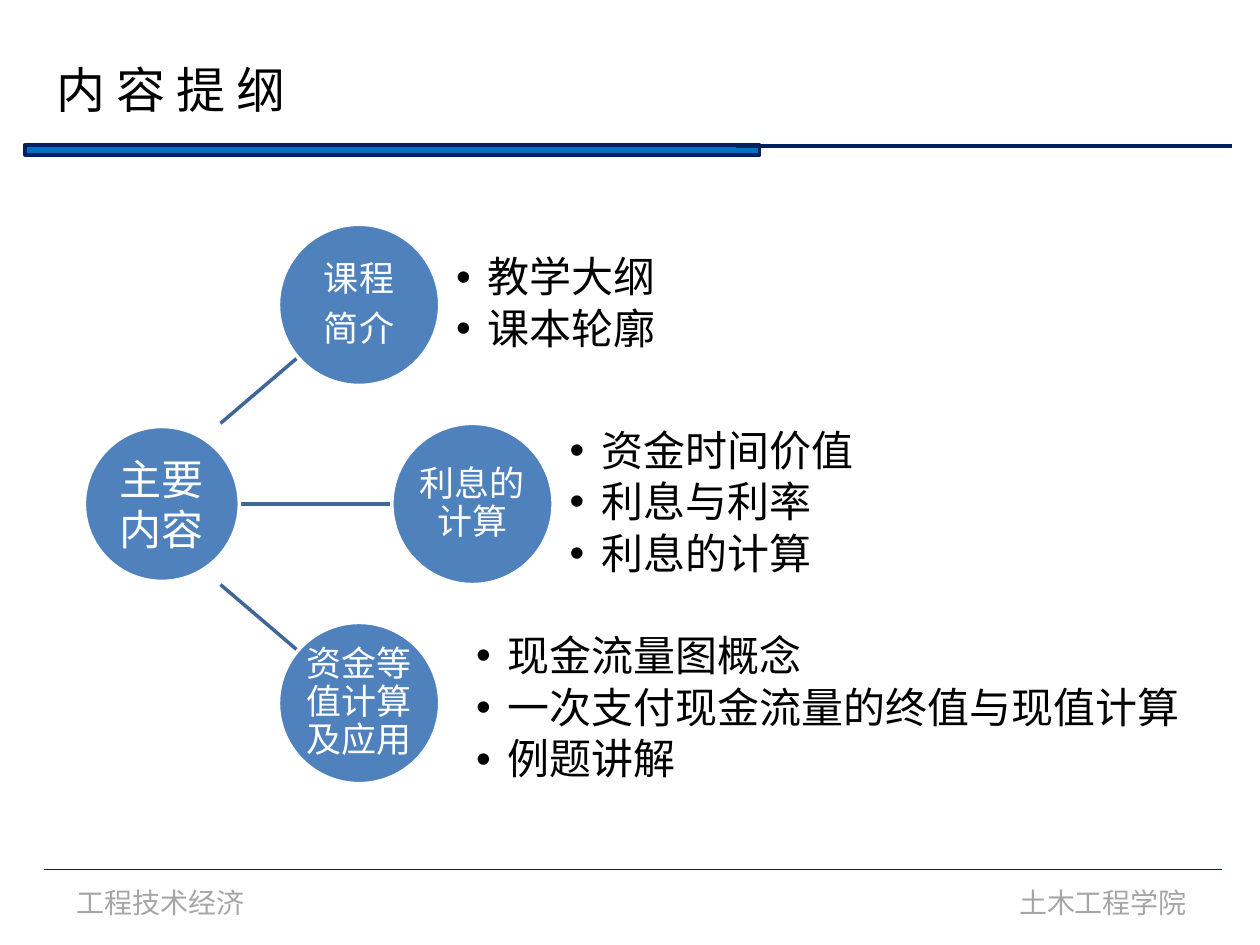
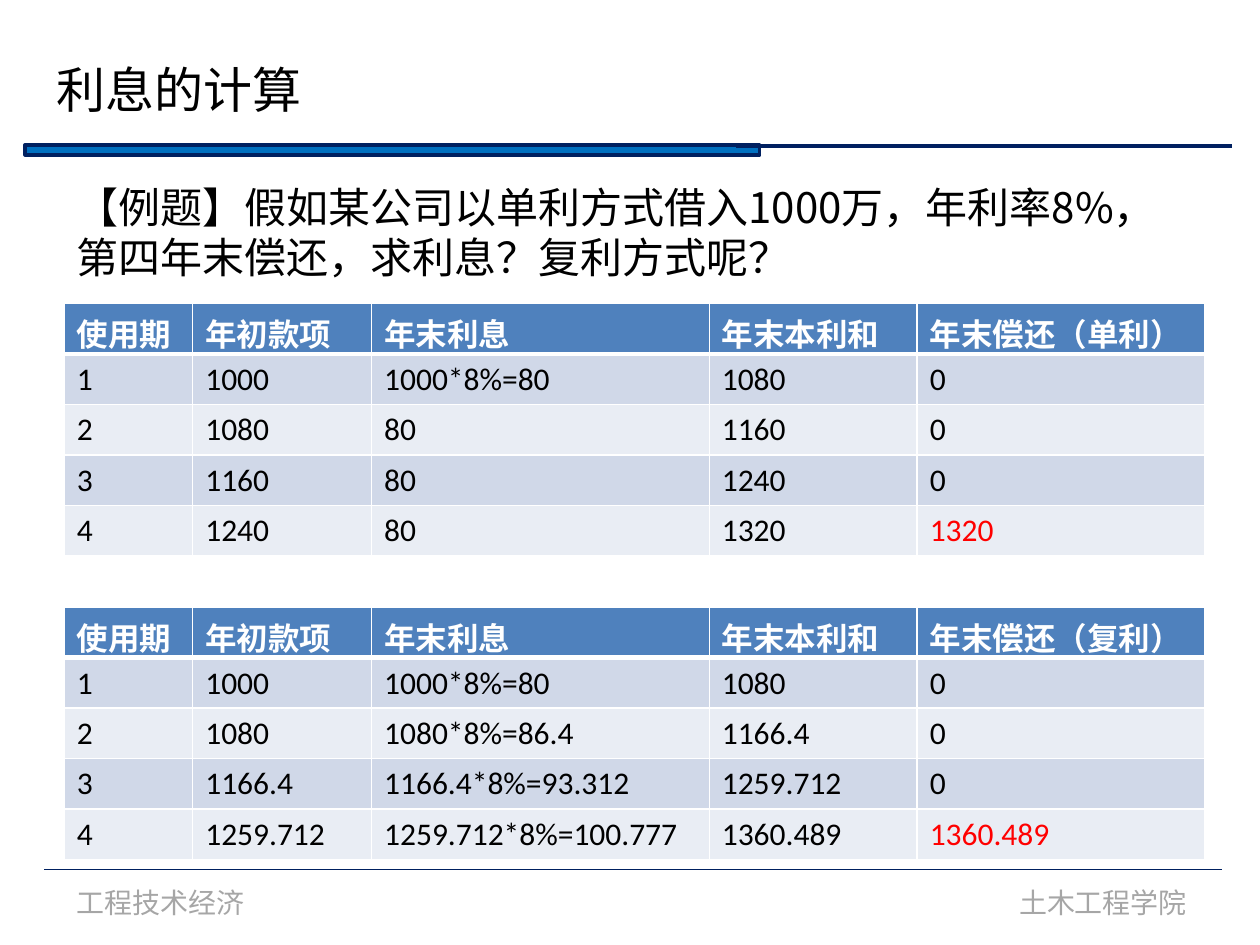
from dataclasses import dataclass

import lxml.etree
import pptx
import pptx.dml.color
import pptx.enum.shapes
import pptx.enum.text
import pptx.oxml.ns
import pptx.slide
import pptx.table
import pptx.text.text
import pptx.util

ALIGN = pptx.enum.text.PP_ALIGN
ANCHOR = pptx.enum.text.MSO_ANCHOR
SHAPE = pptx.enum.shapes.MSO_SHAPE
WIDTH = pptx.util.Inches(10)
HEIGHT = pptx.util.Inches(7.5)
COLUMNS = 100
ROWS = 75


@dataclass(frozen=True)
class Theme:
    latin: str = "Calibri"
    east_asian: str = "Noto Sans CJK SC"
    black: str = "000000"
    white: str = "FFFFFF"
    navy: str = "002060"
    bar: str = "0070C0"
    circle: str = "4F81BD"
    spoke: str = "3F6797"
    footer: str = "A6A6A6"
    dark_band: str = "D0D8E8"
    light_band: str = "E9EDF4"
    result: str = "FF0000"
    title_size: int = 28
    body_size: int = 24
    circle_size: int = 20
    table_size: int = 18
    footer_size: int = 16


THEME = Theme()


@dataclass(frozen=True)
class Box:
    left: float
    top: float
    width: float
    height: float

    def lengths(self) -> tuple[int, int, int, int]:
        return across(self.left), down(self.top), across(self.width), down(self.height)


@dataclass(frozen=True)
class TextStyle:
    size: int
    color: str = THEME.black
    font: str = THEME.east_asian
    bold: bool = False
    align: ALIGN = ALIGN.LEFT
    line_spacing: float = 1.0
    space_after: float = 0
    bullet: bool = False


@dataclass(frozen=True)
class Line:
    start: tuple[float, float]
    end: tuple[float, float]
    color: str
    weight: float


@dataclass(frozen=True)
class Label:
    box: Box
    text: str


@dataclass(frozen=True)
class Topic:
    center: tuple[float, float]
    name: list[str]
    points_box: Box
    points: list[str]


@dataclass(frozen=True)
class InterestTable:
    top: float
    method: str
    rows: list[list[str]]


TITLE = TextStyle(THEME.title_size)
BODY = TextStyle(THEME.body_size)
FOOTER = TextStyle(THEME.footer_size, THEME.footer, THEME.latin)
HUB = TextStyle(THEME.body_size, THEME.white, align=ALIGN.CENTER)
TOPIC = TextStyle(THEME.circle_size, THEME.white, align=ALIGN.CENTER, line_spacing=0.9, space_after=7)
POINT = TextStyle(THEME.body_size, line_spacing=0.9, space_after=3.6, bullet=True)
HEADER_CELL = TextStyle(THEME.table_size, THEME.white, THEME.latin, bold=True)
CELL = TextStyle(THEME.table_size, font=THEME.latin)
RESULT_CELL = TextStyle(THEME.table_size, THEME.result, THEME.latin)

BAR = Box(2, 11.5, 58.3, 0.8)
RULES = [
    Line((58.4, 11.6), (97.8, 11.6), THEME.navy, 2.25),
    Line((3.5, 69), (97, 69), THEME.navy, 0.75),
]
FOOTERS = [
    Label(Box(5.1, 69.8, 15.5, 3.7), "工程技术经济"),
    Label(Box(79.9, 69.8, 15.5, 3.7), "土木工程学院"),
]

MIDDLE = 40
HUB_CENTER = (12.85, MIDDLE)
HUB_DIAMETER = 12.3
TOPIC_DIAMETER = 12.8
TOPIC_STEP = 15.8
TOPICS = [
    Topic((28.5, MIDDLE - TOPIC_STEP), ["课程", "简介"],
          Box(36.2, 17.8, 19.2, 12.8), ["教学大纲", "课本轮廓"]),
    Topic((37.5, MIDDLE), ["利息的计算"],
          Box(45.2, 33.6, 43.8, 12.8), ["资金时间价值", "利息与利率", "利息的计算"]),
    Topic((28.5, MIDDLE + TOPIC_STEP), ["资金等值计算及应用"],
          Box(37.8, 49.9, 61, 12.8),
          ["现金流量图概念", "一次支付现金流量的终值与现值计算", "例题讲解"]),
]
SPOKES = [Line((17.5, MIDDLE), (31.1, MIDDLE), THEME.spoke, 2)] + [
    Line((17.5, MIDDLE + side * 6.4), (23.6, MIDDLE + side * 11.6), THEME.spoke, 2)
    for side in (-1, 1)
]

COLUMN_WIDTHS = [10.2, 14.2, 26.8, 16.5, 22.8]
ROW_HEIGHT = 4
TABLES = [
    InterestTable(24.1, "单利", [
        ["1", "1000", "1000*8%=80", "1080", "0"],
        ["2", "1080", "80", "1160", "0"],
        ["3", "1160", "80", "1240", "0"],
        ["4", "1240", "80", "1320", "1320"],
    ]),
    InterestTable(48.2, "复利", [
        ["1", "1000", "1000*8%=80", "1080", "0"],
        ["2", "1080", "1080*8%=86.4", "1166.4", "0"],
        ["3", "1166.4", "1166.4*8%=93.312", "1259.712", "0"],
        ["4", "1259.712", "1259.712*8%=100.777", "1360.489", "1360.489"],
    ]),
]


def across(columns: float) -> int:
    return round(WIDTH * columns / COLUMNS)


def down(rows: float) -> int:
    return round(HEIGHT * rows / ROWS)


def rgb(color: str) -> pptx.dml.color.RGBColor:
    return pptx.dml.color.RGBColor.from_string(color)


def add_child(parent, tag: str, **attributes: str):
    return lxml.etree.SubElement(parent, pptx.oxml.ns.qn(tag), attributes)


def write(frame: pptx.text.text.TextFrame, texts: list[str], style: TextStyle) -> None:
    for index, text in enumerate(texts):
        paragraph = frame.add_paragraph() if index else frame.paragraphs[0]
        paragraph.text = text
        paragraph.alignment = style.align
        paragraph.line_spacing = style.line_spacing
        paragraph.space_after = pptx.util.Pt(style.space_after)
        properties = paragraph._p.get_or_add_pPr()
        if style.bullet:
            indent = across(2.5)
            properties.set("marL", str(indent))
            properties.set("indent", str(-indent))
            add_child(properties, "a:buFont", typeface="Arial")
            add_child(properties, "a:buChar", char="•")
        font = paragraph.font
        font.name = style.font
        font.size = pptx.util.Pt(style.size)
        font.bold = style.bold
        font.color.rgb = rgb(style.color)
        add_child(font._element, "a:ea", typeface=THEME.east_asian)


def set_margins(frame: pptx.text.text.TextFrame, margin: float) -> None:
    frame.margin_left = frame.margin_right = across(margin)
    frame.margin_top = frame.margin_bottom = down(margin)


def add_text(slide: pptx.slide.Slide, box: Box, texts: list[str], style: TextStyle,
             wrap: bool = True) -> pptx.text.text.TextFrame:
    frame = slide.shapes.add_textbox(*box.lengths()).text_frame
    frame.word_wrap = wrap
    write(frame, texts, style)
    return frame


def add_filled(slide: pptx.slide.Slide, kind: SHAPE, box: Box, fill: str, line: str):
    shape = slide.shapes.add_shape(kind, *box.lengths())
    shape.shadow.inherit = False
    shape.fill.solid()
    shape.fill.fore_color.rgb = rgb(fill)
    shape.line.color.rgb = rgb(line)
    shape.line.width = pptx.util.Pt(2)
    return shape


def add_line(slide: pptx.slide.Slide, line: Line) -> None:
    connector = slide.shapes.add_connector(
        pptx.enum.shapes.MSO_CONNECTOR.STRAIGHT,
        across(line.start[0]), down(line.start[1]), across(line.end[0]), down(line.end[1]))
    connector.line.color.rgb = rgb(line.color)
    connector.line.width = pptx.util.Pt(line.weight)
    add_child(connector._element.spPr, "a:effectLst")


def add_circle(slide: pptx.slide.Slide, center: tuple[float, float], diameter: float,
               texts: list[str], style: TextStyle) -> None:
    box = Box(center[0] - diameter / 2, center[1] - diameter / 2, diameter, diameter)
    frame = add_filled(slide, SHAPE.OVAL, box, THEME.circle, THEME.white).text_frame
    frame.word_wrap = True
    frame.vertical_anchor = ANCHOR.MIDDLE
    set_margins(frame, 0.1)
    write(frame, texts, style)


def add_topic(slide: pptx.slide.Slide, topic: Topic) -> None:
    add_circle(slide, topic.center, TOPIC_DIAMETER, topic.name, TOPIC)
    frame = add_text(slide, topic.points_box, topic.points, POINT)
    frame.vertical_anchor = ANCHOR.MIDDLE
    set_margins(frame, 0)


def style_cell(cell: pptx.table._Cell, text: str, style: TextStyle, fill: str, bottom: float) -> None:
    write(cell.text_frame, [text], style)
    properties = cell._tc.get_or_add_tcPr()
    for side, weight in (("L", 1), ("R", 1), ("T", 1), ("B", bottom)):
        border = add_child(properties, f"a:ln{side}", w=str(pptx.util.Pt(weight)))
        add_child(add_child(border, "a:solidFill"), "a:srgbClr", val=THEME.white)
    cell.fill.solid()
    cell.fill.fore_color.rgb = rgb(fill)


def add_interest_table(slide: pptx.slide.Slide, interest: InterestTable) -> None:
    header = ["使用期", "年初款项", "年末利息", "年末本利和", f"年末偿还（{interest.method}）"]
    rows = [header] + interest.rows
    box = Box(5.1, interest.top, sum(COLUMN_WIDTHS), ROW_HEIGHT * len(rows))
    table = slide.shapes.add_table(len(rows), len(header), *box.lengths()).table
    for column, width in zip(table.columns, COLUMN_WIDTHS):
        column.width = across(width)
    for row_index, values in enumerate(rows):
        band = THEME.dark_band if row_index % 2 else THEME.light_band
        for column_index, value in enumerate(values):
            cell = table.cell(row_index, column_index)
            if row_index == 0:
                style_cell(cell, value, HEADER_CELL, THEME.circle, 3)
            else:
                is_result = column_index == len(header) - 1 and value != "0"
                style_cell(cell, value, RESULT_CELL if is_result else CELL, band, 1)


def add_slide(presentation, title: Label) -> pptx.slide.Slide:
    slide = presentation.slides.add_slide(presentation.slide_layouts[6])
    add_filled(slide, SHAPE.RECTANGLE, BAR, THEME.bar, THEME.navy)
    for rule in RULES:
        add_line(slide, rule)
    for footer in FOOTERS:
        add_text(slide, footer.box, [footer.text], FOOTER, wrap=False)
    add_text(slide, title.box, [title.text], TITLE, wrap=False)
    return slide


def main() -> None:
    presentation = pptx.Presentation()
    presentation.slide_width = WIDTH
    presentation.slide_height = HEIGHT

    outline = add_slide(presentation, Label(Box(3.5, 4.2, 21.2, 5.7), "内 容 提 纲"))
    for spoke in SPOKES:
        add_line(outline, spoke)
    add_circle(outline, HUB_CENTER, HUB_DIAMETER, ["主要内容"], HUB)
    for topic in TOPICS:
        add_topic(outline, topic)

    example = add_slide(presentation, Label(Box(3.5, 4.2, 21.7, 5.7), "利息的计算"))
    question = "【例题】假如某公司以单利方式借入1000万，年利率8%，第四年末偿还，求利息？复利方式呢？"
    add_text(example, Box(5.1, 13.9, 90.6, 9.1), [question], BODY)
    for interest in TABLES:
        add_interest_table(example, interest)
    presentation.save("out.pptx")


if __name__ == "__main__":
    main()
